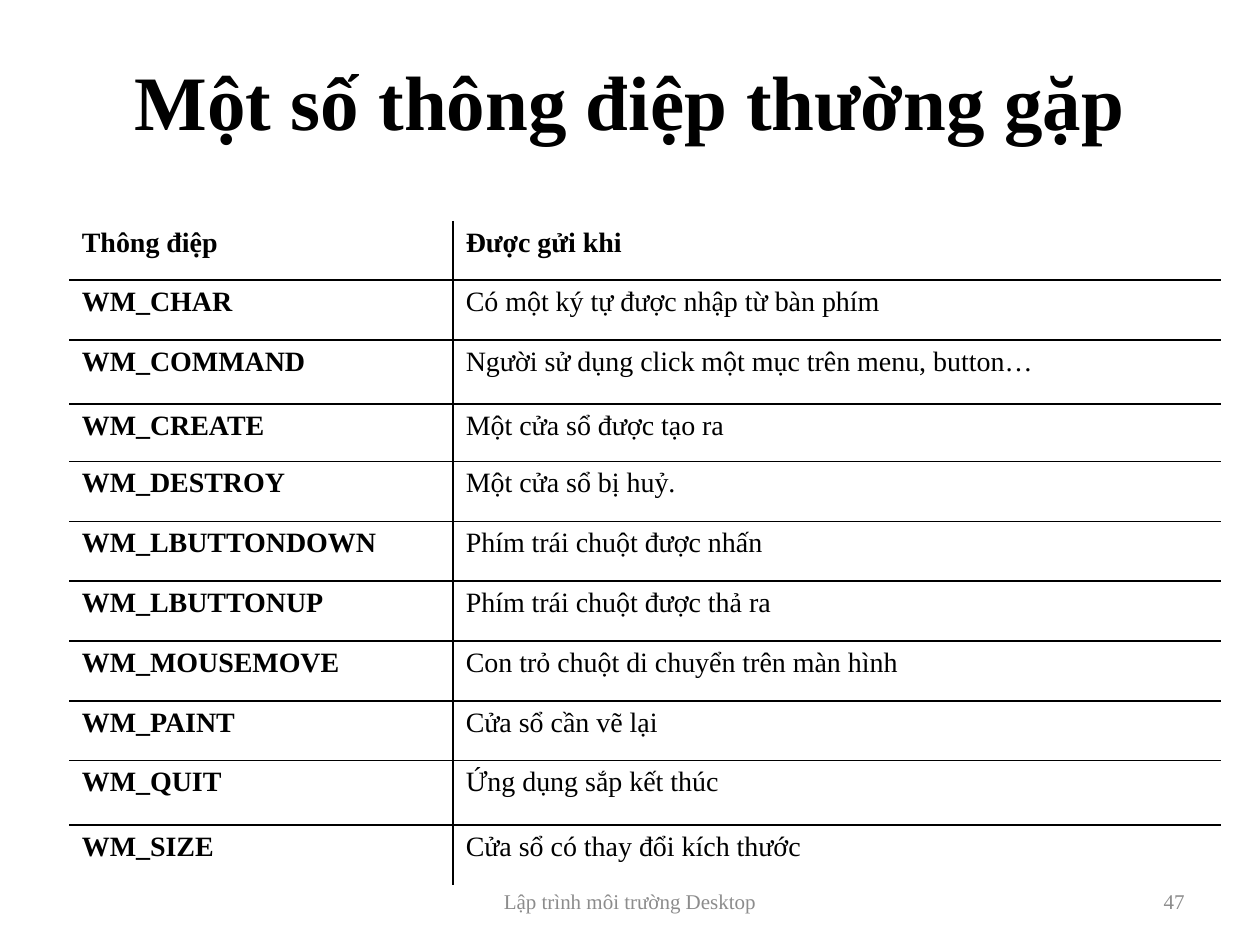
import pptx
import pptx.util
import pptx.dml.color
import pptx.enum.text
import pptx.oxml.ns
from lxml import etree

Pt = pptx.util.Pt
ALIGN = pptx.enum.text.PP_ALIGN
MIDDLE = pptx.enum.text.MSO_ANCHOR.MIDDLE

# Content
TITLE = "Một số thông điệp thường gặp"
MESSAGES = [
    ("Thông điệp", "Được gửi khi"),
    ("WM_CHAR", "Có một ký tự được nhập từ bàn phím"),
    ("WM_COMMAND", "Người sử dụng click một mục trên menu, button…"),
    ("WM_CREATE", "Một cửa sổ được tạo ra"),
    ("WM_DESTROY", "Một cửa sổ bị huỷ."),
    ("WM_LBUTTONDOWN", "Phím trái chuột được nhấn"),
    ("WM_LBUTTONUP", "Phím trái chuột được thả ra"),
    ("WM_MOUSEMOVE", "Con trỏ chuột di chuyển trên màn hình"),
    ("WM_PAINT", "Cửa sổ cần vẽ lại"),
    ("WM_QUIT", "Ứng dụng sắp kết thúc"),
    ("WM_SIZE", "Cửa sổ có thay đổi kích thước"),
]
# Text, left, width, alignment
FOOTERS = [
    ("Lập trình môi trường Desktop", 246, 228, ALIGN.CENTER),
    ("47", 516, 168, ALIGN.RIGHT),
]

# Style and measures, in points
FONT = "Times New Roman"
BLACK = pptx.dml.color.RGBColor(0x00, 0x00, 0x00)
GRAY = pptx.dml.color.RGBColor(0x8C, 0x8C, 0x8C)
NO_STYLE = "{2D5ABB26-0587-4C30-8999-92F81FD0307C}"
TABLE_LEFT, TABLE_TOP = 39.6, 126.2
COLUMN_WIDTHS = [219.4, 438.6]
ROW_HEIGHT = 34.2
SPECIAL_HEIGHTS = {0: 33.8, 2: 36.7, 3: 32.9, 9: 36.7}


def write(text_frame, text, size, color, bold=False, alignment=ALIGN.LEFT):
    paragraph = text_frame.paragraphs[0]
    paragraph.alignment = alignment
    run = paragraph.add_run()
    run.text = text
    run.font.name = FONT
    run.font.size = Pt(size)
    run.font.bold = bold
    run.font.color.rgb = color


def add_border(cell, side):
    properties = cell._tc.get_or_add_tcPr()
    line = etree.SubElement(properties, pptx.oxml.ns.qn(f"a:ln{side}"), w=str(Pt(1)))
    fill = etree.SubElement(line, pptx.oxml.ns.qn("a:solidFill"))
    etree.SubElement(fill, pptx.oxml.ns.qn("a:srgbClr"), val=str(BLACK))


presentation = pptx.Presentation()
presentation.slide_width, presentation.slide_height = Pt(720), Pt(540)
slide = presentation.slides.add_slide(presentation.slide_layouts[5])

# Title
title = slide.shapes.title
title.left, title.top, title.width, title.height = Pt(36), Pt(12), Pt(648), Pt(90)
title.text_frame.vertical_anchor = MIDDLE
write(title.text_frame, TITLE, 44, BLACK, True, ALIGN.CENTER)

# Table of messages, with inner rules only
heights = [SPECIAL_HEIGHTS.get(row, ROW_HEIGHT) for row in range(len(MESSAGES))]
table = slide.shapes.add_table(
    len(MESSAGES), len(COLUMN_WIDTHS), Pt(TABLE_LEFT), Pt(TABLE_TOP),
    Pt(sum(COLUMN_WIDTHS)), Pt(sum(heights))).table
table.first_row = table.horz_banding = False
table._tbl.tblPr.find(pptx.oxml.ns.qn("a:tableStyleId")).text = NO_STYLE
for column, width in zip(table.columns, COLUMN_WIDTHS):
    column.width = Pt(width)

last_row = len(MESSAGES) - 1
for row, texts in enumerate(MESSAGES):
    table.rows[row].height = Pt(heights[row])
    for column, text in enumerate(texts):
        cell = table.cell(row, column)
        write(cell.text_frame, text, 16, BLACK, row == 0 or column == 0,
              ALIGN.JUSTIFY if row else ALIGN.LEFT)
        add_border(cell, "L" if column else "R")
        if row > 0:
            add_border(cell, "T")
        if row < last_row:
            add_border(cell, "B")
        cell.fill.background()

# Footer and slide number
for text, left, width, alignment in FOOTERS:
    box = slide.shapes.add_textbox(Pt(left), Pt(500.5), Pt(width), Pt(28.75))
    box.text_frame.word_wrap = True
    box.text_frame.vertical_anchor = MIDDLE
    write(box.text_frame, text, 12, GRAY, alignment=alignment)

presentation.save("out.pptx")
